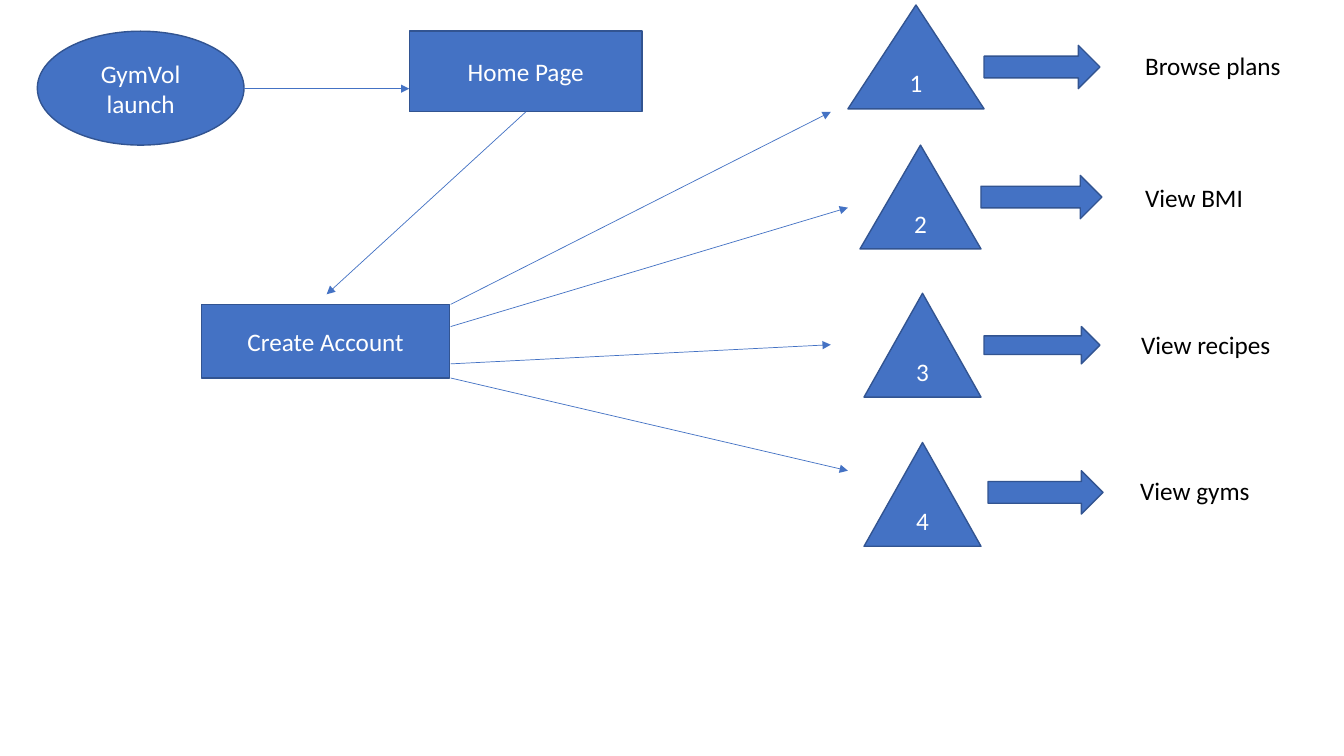
"""Build the app flow slide: launch, home page, account and four views."""
from lxml.etree import SubElement
from pptx import Presentation
from pptx.dml.color import RGBColor
from pptx.enum.shapes import MSO_CONNECTOR, MSO_SHAPE
from pptx.enum.text import MSO_ANCHOR, MSO_AUTO_SIZE, PP_ALIGN
from pptx.oxml.ns import qn
from pptx.util import Inches, Pt

STEPS = {
    "launch": (MSO_SHAPE.OVAL, "GymVol launch", (0.37, 0.31, 2.05, 1.13)),
    "home": (MSO_SHAPE.RECTANGLE, "Home Page", (4.06, 0.31, 2.31, 0.8)),
    "account": (MSO_SHAPE.RECTANGLE, "Create Account", (2, 3.02, 2.46, 0.73)),
}
VIEWS = [
    ("Browse plans", (8.41, 0.05, 1.35, 1.03), (9.76, 0.45, 1.15, 0.43), (11.26, 0.45, 1.56, 0.4)),
    ("View BMI", (8.53, 1.44, 1.2, 1.03), (9.73, 1.74, 1.2, 0.43), (11.26, 1.76, 1.37, 0.4)),
    ("View recipes", (8.57, 2.91, 1.16, 1.03), (9.76, 3.24, 1.15, 0.37), (11.22, 3.22, 1.56, 0.4)),
    ("View gyms", (8.57, 4.39, 1.16, 1.03), (9.8, 4.67, 1.14, 0.43), (11.21, 4.67, 1.49, 0.4)),
]
FAN_X = 4.47
FAN = [
    (3.02, (8.24, 1.11)),
    (3.24, (8.41, 2.06)),
    (3.61, (8.24, 3.42)),
    (3.75, (8.41, 4.67)),
]
THEME = {
    "font": "Calibri",
    "size": Pt(18),
    "fill": RGBColor.from_string("4472C4"),
    "edge": RGBColor.from_string("325491"),
    "light": RGBColor.from_string("FFFFFF"),
    "dark": RGBColor.from_string("000000"),
    "border": Pt(1),
    "thin": Pt(0.5),
}


def write(frame, text, color, align):
    para = frame.paragraphs[0]
    para.alignment = align
    run = para.add_run()
    run.text = text
    run.font.name = THEME["font"]
    run.font.size = THEME["size"]
    run.font.color.rgb = color


def add_block(slide, kind, box, text=""):
    shape = slide.shapes.add_shape(kind, *map(Inches, box))
    shape.shadow.inherit = False
    shape.fill.solid()
    shape.fill.fore_color.rgb = THEME["fill"]
    shape.line.color.rgb = THEME["edge"]
    shape.line.width = THEME["border"]
    if text:
        frame = shape.text_frame
        frame.word_wrap = True
        frame.vertical_anchor = MSO_ANCHOR.MIDDLE
        write(frame, text, THEME["light"], PP_ALIGN.CENTER)
    return shape


def add_label(slide, box, text):
    frame = slide.shapes.add_textbox(*map(Inches, box)).text_frame
    frame.word_wrap = True
    frame.auto_size = MSO_AUTO_SIZE.SHAPE_TO_FIT_TEXT
    write(frame, text, THEME["dark"], PP_ALIGN.LEFT)


def add_arrow(slide, start, end):
    link = slide.shapes.add_connector(MSO_CONNECTOR.STRAIGHT, *map(Inches, start + end))
    link.line.color.rgb = THEME["fill"]
    link.line.width = THEME["thin"]
    props = link._element.spPr
    SubElement(props.find(qn("a:ln")), qn("a:tailEnd"), type="triangle")
    SubElement(props, qn("a:effectLst"))
    return link


def main():
    deck = Presentation()
    deck.slide_width, deck.slide_height = Inches(13.33), Inches(7.5)
    slide = deck.slides.add_slide(deck.slide_layouts[6])

    steps = {key: add_block(slide, kind, box, text)
             for key, (kind, text, box) in STEPS.items()}
    add_arrow(slide, (2.42, 0.88), (4.06, 0.88))
    add_arrow(slide, (5.21, 1.11), (3.24, 2.92)).begin_connect(steps["home"], 2)

    for num, (text, peak, arrow, label) in enumerate(VIEWS, 1):
        add_block(slide, MSO_SHAPE.ISOSCELES_TRIANGLE, peak, str(num))
        add_block(slide, MSO_SHAPE.RIGHT_ARROW, arrow)
        add_label(slide, label, text)
    for top, end in FAN:
        add_arrow(slide, (FAN_X, top), end)

    deck.save("out.pptx")


if __name__ == "__main__":
    main()
